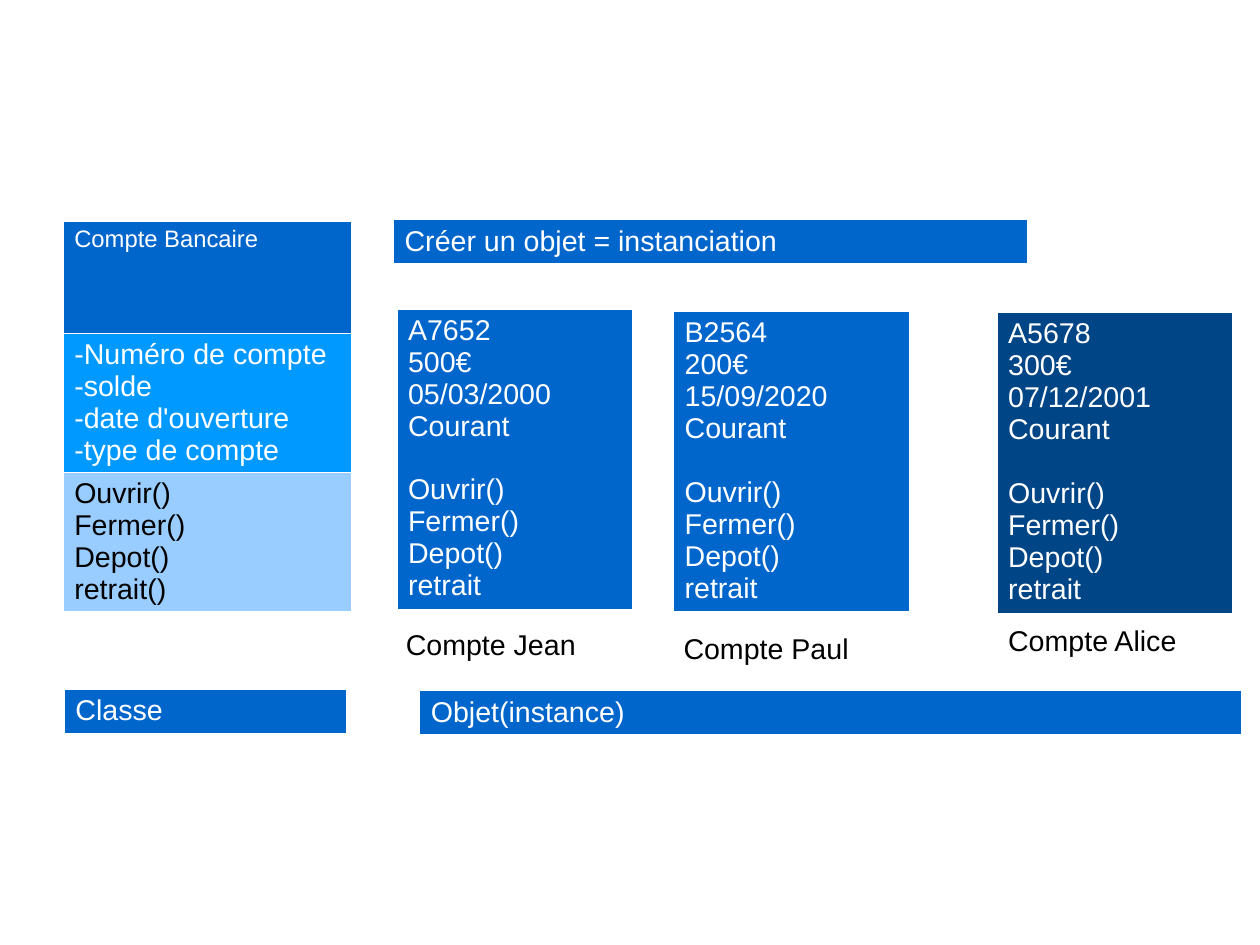
from dataclasses import dataclass

from lxml import etree
from pptx import Presentation
from pptx import util as u
from pptx.dml.color import RGBColor
from pptx.oxml import ns

WHITE = RGBColor(0xFF, 0xFF, 0xFF)
BLACK = RGBColor(0x00, 0x00, 0x00)
BLUE = RGBColor(0x00, 0x66, 0xCC)
SKY = RGBColor(0x00, 0x99, 0xFF)
PALE = RGBColor(0x99, 0xCC, 0xFF)
NAVY = RGBColor(0x00, 0x45, 0x86)

CM_PER_INCH = 2.54
PAGE_WIDTH = u.Inches(28 / CM_PER_INCH)
PAGE_HEIGHT = u.Inches(21 / CM_PER_INCH)
BORDER_WIDTH = u.Pt(0.06)
LINE_GAP = u.Pt(20)
LABEL_HEIGHT = 0.38
ACCOUNT_WIDTH, ACCOUNT_HEIGHT = 2.06, 2.63
METHODS = ("Ouvrir()", "Fermer()", "Depot()")
CELL_MARGINS = {
    "margin_left": u.Inches(0.1),
    "margin_right": u.Inches(0.1),
    "margin_top": u.Inches(0.05),
    "margin_bottom": u.Inches(0.05),
}


@dataclass(frozen=True)
class Block:
    """One table row; spaced_line is the index of the line set apart from those above."""
    lines: tuple[str, ...]
    height: float
    fill: RGBColor
    color: RGBColor = WHITE
    size: float = 18
    spaced_line: int = 0


@dataclass(frozen=True)
class Panel:
    left: float
    top: float
    width: float
    blocks: tuple[Block, ...]


def label(text: str, left: float, top: float, width: float,
          fill: RGBColor = BLUE, color: RGBColor = WHITE) -> Panel:
    return Panel(left, top, width, (Block((text,), LABEL_HEIGHT, fill, color),))


def account(left: float, top: float, values: tuple[str, ...],
            fill: RGBColor = BLUE) -> Panel:
    lines = values + METHODS + ("retrait",)
    block = Block(lines, ACCOUNT_HEIGHT, fill, spaced_line=len(values))
    return Panel(left, top, ACCOUNT_WIDTH, (block,))


PANELS = (
    Panel(0.55, 1.93, 2.52, (
        Block(("Compte Bancaire",), 0.98, BLUE, size=15),
        Block(("-Numéro de compte", "-solde", "-date d'ouverture", "-type de compte"),
              1.22, SKY),
        Block(METHODS + ("retrait()",), 1.22, PALE, BLACK),
    )),
    account(3.47, 2.7, ("A7652", "500€", "05/03/2000", "Courant")),
    account(8.72, 2.73, ("A5678", "300€", "07/12/2001", "Courant"), NAVY),
    account(5.89, 2.72, ("B2564", "200€", "15/09/2020", "Courant")),
    label("Compte Jean", 3.45, 5.46, 1.69, WHITE, BLACK),
    label("Compte Paul", 5.88, 5.49, 2.22, WHITE, BLACK),
    label("Compte Alice", 8.72, 5.42, 2.3, WHITE, BLACK),
    label("Classe", 0.56, 6.03, 2.47),
    label("Objet(instance)", 3.67, 6.04, 7.19),
    label("Créer un objet = instanciation", 3.44, 1.92, 5.55),
)


def apply_format(target, values: dict) -> None:
    for name, value in values.items():
        setattr(target, name, value)


def add_borders(cell) -> None:
    properties = cell._tc.get_or_add_tcPr()
    for side in ("lnL", "lnR", "lnT", "lnB"):
        line = etree.SubElement(properties, ns.qn(f"a:{side}"), w=str(BORDER_WIDTH))
        solid = etree.SubElement(line, ns.qn("a:solidFill"))
        etree.SubElement(solid, ns.qn("a:srgbClr"), val=str(WHITE))


def fill_cell(cell, block: Block) -> None:
    add_borders(cell)
    apply_format(cell, CELL_MARGINS)
    cell.fill.solid()
    cell.fill.fore_color.rgb = block.fill
    cell.text = "\n".join(block.lines)
    for index, para in enumerate(cell.text_frame.paragraphs):
        for span in para.runs:
            apply_format(span.font, {"name": "Arial", "size": u.Pt(block.size), "bold": False})
            span.font.color.rgb = block.color
        if index and index == block.spaced_line:
            para.space_before = LINE_GAP


def add_panel(page, panel: Panel) -> None:
    height = sum(block.height for block in panel.blocks)
    frame = page.shapes.add_table(
        len(panel.blocks), 1, u.Inches(panel.left), u.Inches(panel.top),
        u.Inches(panel.width), u.Inches(height))
    table = frame.table
    apply_format(table, {"first_row": False, "horz_banding": False})
    for index, block in enumerate(panel.blocks):
        table.rows[index].height = u.Inches(block.height)
        fill_cell(table.cell(index, 0), block)


def main() -> None:
    deck = Presentation()
    deck.slide_width = PAGE_WIDTH
    deck.slide_height = PAGE_HEIGHT
    page = deck.slides.add_slide(deck.slide_layouts.get_by_name("Blank"))
    for panel in PANELS:
        add_panel(page, panel)
    deck.save("out.pptx")


if __name__ == "__main__":
    main()
